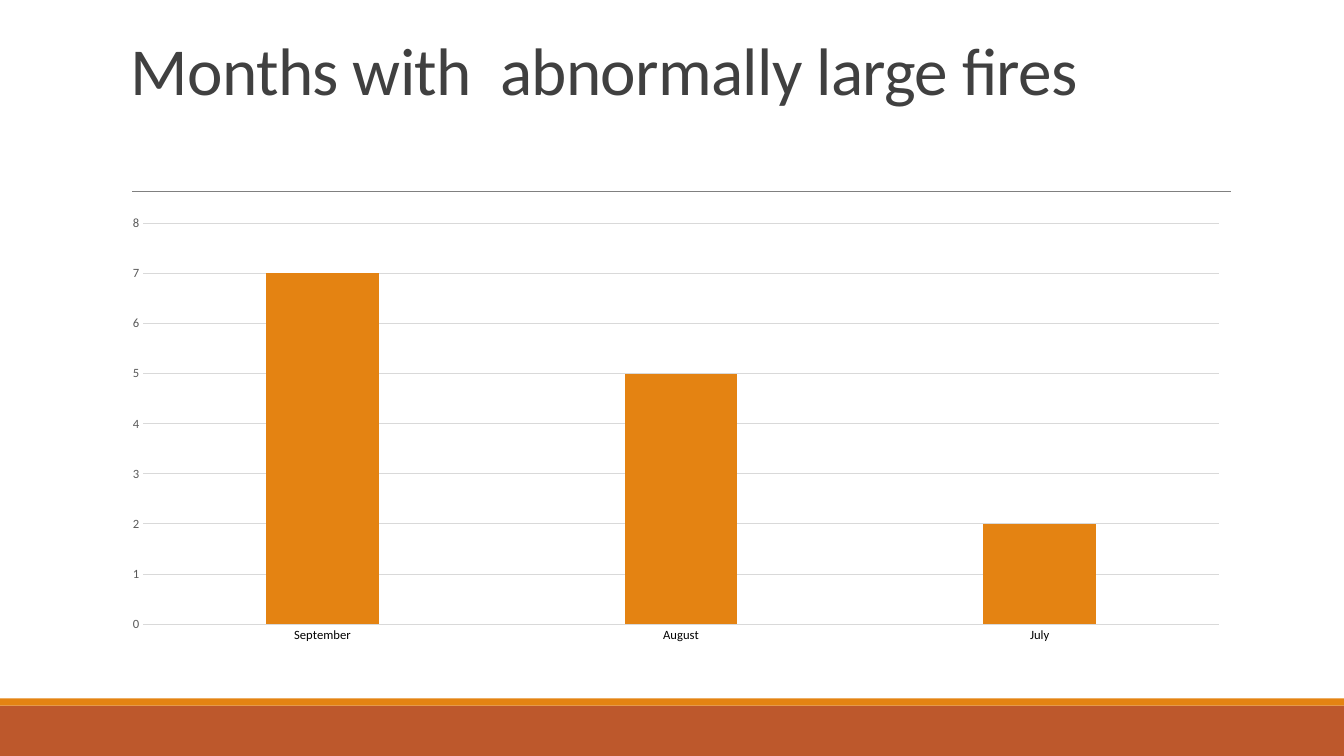
from dataclasses import dataclass

import lxml.etree
import pptx
import pptx.chart.data
import pptx.dml.color
import pptx.enum.chart
import pptx.enum.shapes
import pptx.enum.text
import pptx.oxml
import pptx.oxml.ns
import pptx.util

PX = 9144


@dataclass(frozen=True)
class Theme:
    font: str = "Calibri"
    orange: str = "E48312"
    rust: str = "BD582C"
    rule: str = "808080"
    grid: str = "D9D9D9"
    title: str = "404040"
    category: str = "000000"
    value: str = "595959"
    title_size: int = 48
    chart_size: int = 10
    axis_size: int = 9


def rgb(color):
    return pptx.dml.color.RGBColor.from_string(color)


def px(*lengths):
    return [pptx.util.Emu(length * PX) for length in lengths]


class SlideBuilder:
    def __init__(self, slide, theme):
        self.slide = slide
        self.theme = theme

    def style_font(self, font, size, color):
        font.name = self.theme.font
        font.size = pptx.util.Pt(size)
        font.color.rgb = rgb(color)

    def style_line(self, line, color, width):
        line.color.rgb = rgb(color)
        line.width = pptx.util.Pt(width)

    def band(self, left, top, width, height, color):
        shape = self.slide.shapes.add_shape(
            pptx.enum.shapes.MSO_SHAPE.RECTANGLE, *px(left, top, width, height))
        shape.shadow.inherit = False
        shape.fill.solid()
        shape.fill.fore_color.rgb = rgb(color)
        shape.line.fill.background()

    def rule(self, left, right, top):
        connector = self.slide.shapes.add_connector(
            pptx.enum.shapes.MSO_CONNECTOR.STRAIGHT, *px(left, top, right, top))
        self.style_line(connector.line, self.theme.rule, 0.5)
        properties = connector._element.spPr
        lxml.etree.SubElement(properties, pptx.oxml.ns.qn("a:effectLst"))

    def title(self, left, top, width, height, text):
        shape = self.slide.shapes.add_textbox(*px(left, top, width, height))
        text_frame = shape.text_frame
        text_frame.word_wrap = True
        text_frame.vertical_anchor = pptx.enum.text.MSO_ANCHOR.TOP
        text_frame.margin_top = px(9)[0]
        text_frame.text = text
        paragraph = text_frame.paragraphs[0]
        paragraph.line_spacing = 0.85
        run = paragraph.runs[0]
        self.style_font(run.font, self.theme.title_size, self.theme.title)
        run._r.get_or_add_rPr().set("spc", "-50")

    def column_chart(self, left, top, width, height, name, values, layout):
        data = pptx.chart.data.CategoryChartData()
        data.categories = list(values)
        data.add_series(name, list(values.values()))
        chart = self.slide.shapes.add_chart(
            pptx.enum.chart.XL_CHART_TYPE.COLUMN_CLUSTERED,
            *px(left, top, width, height), data).chart
        chart.has_title = False
        chart.has_legend = False
        self.style_font(chart.font, self.theme.chart_size, self.theme.category)
        plot = chart.plots[0]
        plot.vary_by_categories = False
        plot.gap_width = 219
        plot.overlap = -27
        fill = plot.series[0].format.fill
        fill.solid()
        fill.fore_color.rgb = rgb(self.theme.orange)
        self.style_axes(chart)
        self.place_plot(chart, layout)

    def style_axes(self, chart):
        axes = ((chart.category_axis, self.theme.category),
                (chart.value_axis, self.theme.value))
        for axis, color in axes:
            axis.major_tick_mark = pptx.enum.chart.XL_TICK_MARK.NONE
            axis.minor_tick_mark = pptx.enum.chart.XL_TICK_MARK.NONE
            self.style_font(axis.tick_labels.font, self.theme.axis_size, color)
        self.style_line(chart.category_axis.format.line, self.theme.grid, 0.75)
        value_axis = chart.value_axis
        value_axis.minimum_scale = 0
        value_axis.maximum_scale = 8
        value_axis.major_unit = 1
        value_axis.format.line.fill.background()
        value_axis.has_major_gridlines = True
        self.style_line(value_axis.major_gridlines.format.line, self.theme.grid, 0.75)

    def place_plot(self, chart, layout):
        qn = pptx.oxml.ns.qn
        plot_area = chart._chartSpace.chart.plotArea
        for existing in plot_area.findall(qn("c:layout")):
            plot_area.remove(existing)
        element = pptx.oxml.parse_xml(
            f"<c:layout {pptx.oxml.ns.nsdecls('c')}><c:manualLayout/></c:layout>")
        settings = {"layoutTarget": "inner", "xMode": "edge", "yMode": "edge"}
        settings.update(zip("xywh", layout))
        for tag, value in settings.items():
            lxml.etree.SubElement(element[0], qn(f"c:{tag}"), val=str(value))
        plot_area.insert(0, element)


def main():
    presentation = pptx.Presentation()
    presentation.slide_width, presentation.slide_height = px(1333, 750)
    slide = presentation.slides.add_slide(presentation.slide_layouts[6])
    theme = Theme()
    builder = SlideBuilder(slide, theme)
    builder.band(0, 700, 1333, 50, theme.rust)
    builder.band(0, 693, 1333, 7, theme.orange)
    builder.rule(131, 1221, 190)
    builder.title(120, 31, 1100, 159, "Months with  abnormally large fires")
    builder.column_chart(120, 190, 1100, 452, "Series 1",
                         {"September": 7, "August": 5, "July": 2},
                         (0.02, 0.07, 0.97, 0.88))
    presentation.save("out.pptx")


if __name__ == "__main__":
    main()
